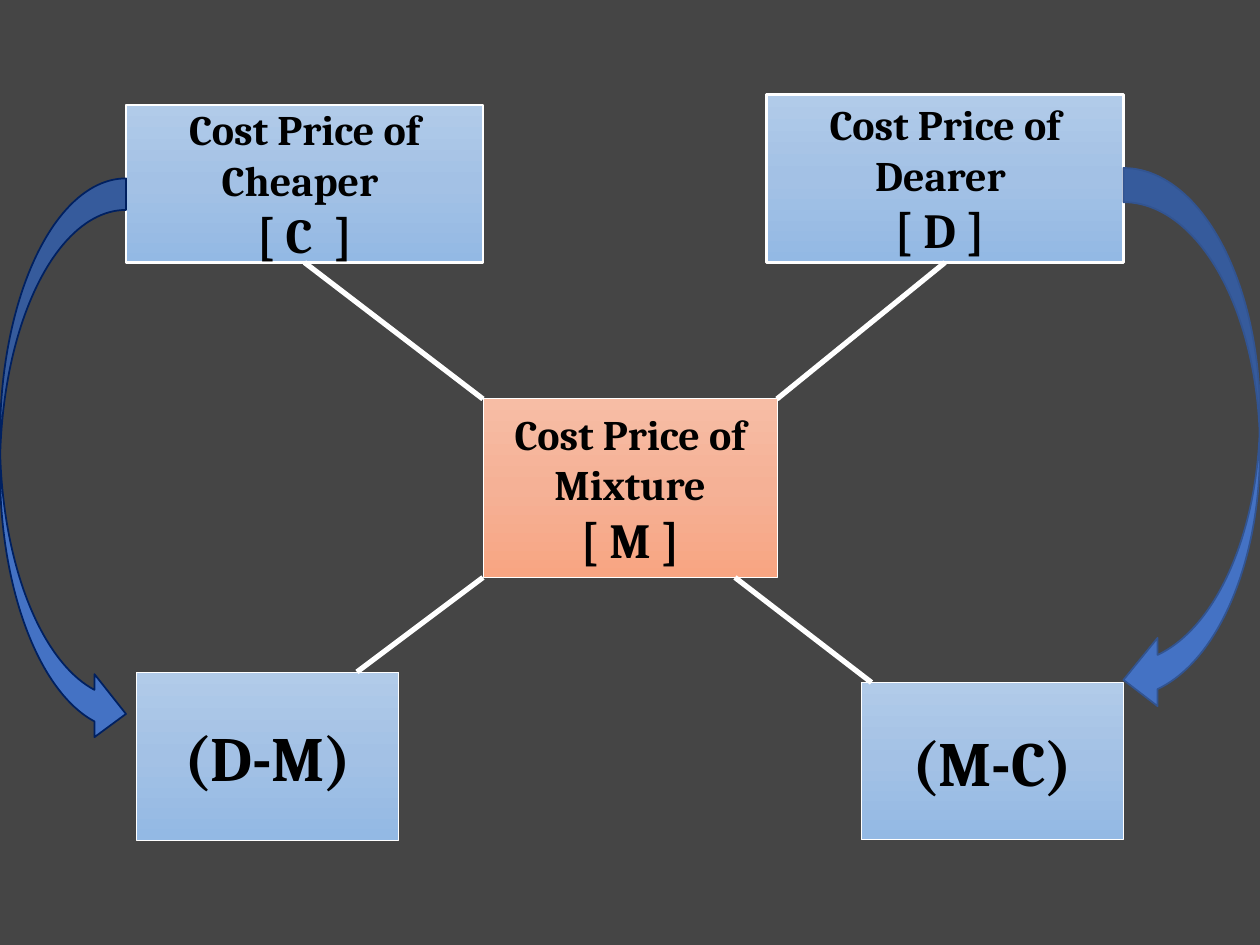
"""Build the alligation rule diagram slide."""
from copy import deepcopy

from pptx import Presentation
from pptx.dml.color import RGBColor as RGB
from pptx.enum.shapes import MSO_CONNECTOR as CONN, MSO_SHAPE as SHAPE
from pptx.enum.text import MSO_ANCHOR as ANCHOR, PP_ALIGN as ALIGN
from pptx.oxml.ns import qn
from pptx.util import Inches, Pt

COLS, ROWS = 120, 90
BOTTOM = 2

THEME = {
    "font": "Cambria", "text": "000000", "bg": "454545", "line": "FFFFFF",
    "blue": ("B1CBE9", "A3C1E5", "93B9E4"),
    "orange": ("F7BDA5", "F5B196", "F8A582"),
    "arrow": "4472C4", "label": 24, "symbol": 28, "result": 36, "link": 3,
}

BOXES = {
    "cheaper": ((12, 10, 34, 15), "blue", 1.5,
                [("Cost Price of Cheaper ", "label"), ("[ C  ]", "symbol")]),
    "dearer": ((73, 9, 34, 16), "blue", 1.5,
               [("Cost Price of Dearer ", "label"), ("[ D ] ", "symbol")]),
    "mixture": ((46, 38, 28, 17), "orange", 0.5,
                [("Cost Price of Mixture", "label"), ("[ M ]", "symbol")]),
    "d_minus_m": ((13, 64, 25, 16), "blue", 0.5, [("(D-M)", "result")]),
    "m_minus_c": ((82, 65, 25, 15), "blue", 0.5, [("(M-C)", "result")]),
}

LINKS = [
    ((29, 25), (46, 38), "cheaper", None),
    ((74, 38), (90, 25), None, "dearer"),
    ((46, 55), (34, 64), None, None),
    ((70, 55), (83, 65), None, None),
]

ARROWS = [
    (SHAPE.CURVED_RIGHT_ARROW, (0, 17, 12, 54), "002060"),
    (SHAPE.CURVED_LEFT_ARROW, (107, 16, 13, 52), "325491"),
]

prs = Presentation()
prs.slide_width, prs.slide_height = Inches(10), Inches(7.5)


def place(*cells):
    units = (prs.slide_width / COLS, prs.slide_height / ROWS)
    return [round(c * units[i % 2]) for i, c in enumerate(cells)]


def set_line(line, color, width):
    line.color.rgb = RGB.from_string(color)
    line.width = Pt(width)


def add_shape(s, kind, cells, color, width):
    sp = s.shapes.add_shape(kind, *place(*cells))
    sp.shadow.inherit = False
    set_line(sp.line, color, width)
    return sp


def set_gradient(sp, colors):
    sp.fill.gradient()
    sp.fill.gradient_angle = 270
    stops = sp._element.spPr.find(".//" + qn("a:gsLst"))
    stops.insert(1, deepcopy(stops[0]))
    stops[1].set("pos", "50000")
    for stop, color in zip(sp.fill.gradient_stops, colors):
        stop.color.rgb = RGB.from_string(color)


def add_box(s, cells, fill, width, lines):
    sp = add_shape(s, SHAPE.RECTANGLE, cells, THEME["line"], width)
    set_gradient(sp, THEME[fill])
    tf = sp.text_frame
    tf.word_wrap, tf.vertical_anchor = True, ANCHOR.MIDDLE
    tf.text = "\n".join(text for text, size in lines)
    for p, (text, size) in zip(tf.paragraphs, lines):
        p.alignment = ALIGN.CENTER
        for r in p.runs:
            r.font.name, r.font.bold = THEME["font"], True
            r.font.size = Pt(THEME[size])
            r.font.color.rgb = RGB.from_string(THEME["text"])
    return sp


def add_link(s, start, end, source, target):
    cx = s.shapes.add_connector(CONN.STRAIGHT, *place(*start, *end))
    set_line(cx.line, THEME["line"], THEME["link"])
    spPr = cx._element.spPr
    spPr.append(spPr.makeelement(qn("a:effectLst"), {}))
    if source:
        cx.begin_connect(source, BOTTOM)
    if target:
        cx.end_connect(target, BOTTOM)


def main():
    s = prs.slides.add_slide(prs.slide_layouts[6])
    s.background.fill.solid()
    s.background.fill.fore_color.rgb = RGB.from_string(THEME["bg"])
    boxes = {name: add_box(s, *box) for name, box in BOXES.items()}
    for start, end, source, target in LINKS:
        add_link(s, start, end, boxes.get(source), boxes.get(target))
    for kind, cells, outline in ARROWS:
        sp = add_shape(s, kind, cells, outline, 1)
        sp.fill.solid()
        sp.fill.fore_color.rgb = RGB.from_string(THEME["arrow"])
    prs.save("out.pptx")


if __name__ == "__main__":
    main()
